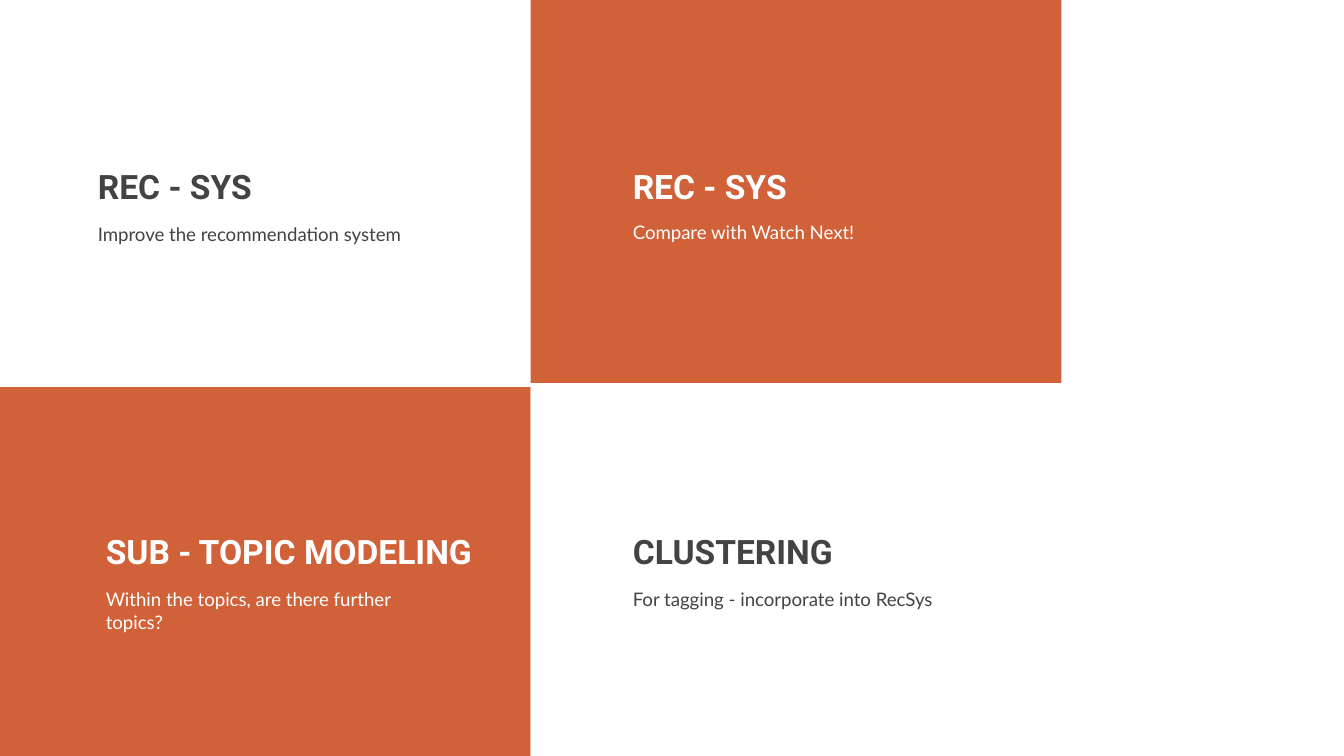
from typing import NamedTuple

from pptx import Presentation
from pptx.dml.color import RGBColor
from pptx.enum.shapes import MSO_SHAPE
from pptx.enum.text import MSO_ANCHOR, MSO_AUTO_SIZE, PP_ALIGN
from pptx.util import Cm, Pt

RECT = MSO_SHAPE.RECTANGLE
TOP, BOTTOM = MSO_ANCHOR.TOP, MSO_ANCHOR.BOTTOM
LEFT = PP_ALIGN.LEFT
NO_FIT = MSO_AUTO_SIZE.NONE

ORANGE = RGBColor(0xD1, 0x61, 0x38)
WHITE = RGBColor(0xFF, 0xFF, 0xFF)
GREY = RGBColor(0x43, 0x43, 0x43)

PANEL_W, PANEL_H = 10.03, 6.98
MIDDLE = 7.32
TITLE_H = 1.8
INSET = Cm(0.25)


class Panel(NamedTuple):
    left: float
    top: float
    height: float
    fill: RGBColor


class Topic(NamedTuple):
    title: str
    body: str
    color: RGBColor
    left: float
    title_top: float
    title_w: float
    body_top: float
    body_w: float
    body_h: float


PANELS = [
    Panel(PANEL_W, -0.08, MIDDLE, ORANGE),
    Panel(0, MIDDLE, PANEL_H, ORANGE),
    Panel(PANEL_W, MIDDLE, PANEL_H, WHITE),
]

TOPICS = [
    Topic("REC - SYS", "Improve the recommendation system", GREY,
          1.6, 2.34, 7.19, 3.96, 7.19, 2.08),
    Topic("REC - SYS", "Compare with Watch Next!", WHITE,
          11.71, 2.34, 7.49, 3.92, 7.19, 2.08),
    Topic("SUB - TOPIC MODELING", "Within the topics, are there further topics?", WHITE,
          1.75, 9.25, 7.98, 10.87, 6.88, 2.62),
    Topic("CLUSTERING", "For tagging - incorporate into RecSys", GREY,
          11.71, 9.25, 7.19, 10.87, 7.19, 2.08),
]


def add_panel(slide, panel: Panel) -> None:
    sp = slide.shapes.add_shape(RECT, Cm(panel.left), Cm(panel.top),
                                Cm(PANEL_W), Cm(panel.height))
    sp.shadow.inherit = False
    sp.fill.solid()
    sp.fill.fore_color.rgb = panel.fill
    sp.line.fill.background()


def write_text(sp, text: str, font: str, size: int, bold: bool,
               color: RGBColor, anchor: MSO_ANCHOR) -> None:
    tf = sp.text_frame
    tf.text = text
    tf.word_wrap = True
    tf.auto_size = NO_FIT
    tf.vertical_anchor = anchor
    tf.margin_left = tf.margin_right = tf.margin_top = tf.margin_bottom = INSET
    p = tf.paragraphs[0]
    p.alignment = LEFT
    r = p.runs[0]
    r.font.name = font
    r.font.size = Pt(size)
    r.font.bold = bold
    r.font.color.rgb = color


def add_topic(slide, topic: Topic, title=None) -> None:
    box = (Cm(topic.left), Cm(topic.title_top), Cm(topic.title_w), Cm(TITLE_H))
    if title is None:
        title = slide.shapes.add_textbox(*box)
    else:
        title.left, title.top, title.width, title.height = box
    write_text(title, topic.title, "Roboto", 18, True, topic.color, BOTTOM)
    body = slide.shapes.add_textbox(Cm(topic.left), Cm(topic.body_top),
                                    Cm(topic.body_w), Cm(topic.body_h))
    write_text(body, topic.body, "Lato", 10, False, topic.color, TOP)


def main() -> None:
    prs = Presentation()
    prs.slide_width, prs.slide_height = Cm(25.4), Cm(14.29)
    slide = prs.slides.add_slide(prs.slide_layouts[5])
    for panel in PANELS:
        add_panel(slide, panel)
    add_topic(slide, TOPICS[0], slide.shapes.title)
    for topic in TOPICS[1:]:
        add_topic(slide, topic)
    prs.save("out.pptx")


if __name__ == "__main__":
    main()
